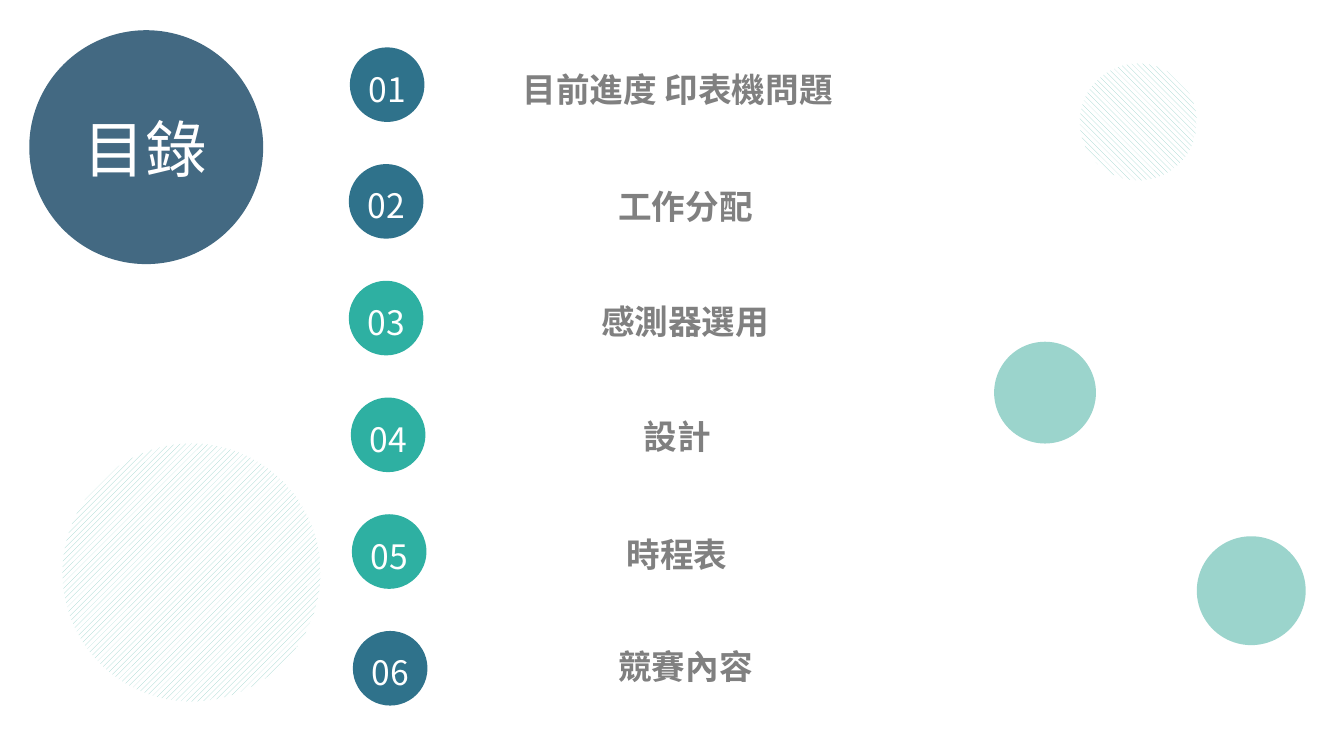
"""Build the table-of-contents slide with six numbered entries."""
from lxml.etree import SubElement
from pptx import Presentation
from pptx.dml.color import RGBColor as RGB
from pptx.enum.dml import MSO_PATTERN_TYPE as PATTERN
from pptx.enum.shapes import MSO_SHAPE as SHAPE
from pptx.enum.text import MSO_ANCHOR as ANCHOR, MSO_AUTO_SIZE as AUTO, PP_ALIGN as ALIGN
from pptx.oxml.ns import qn
from pptx.util import Inches, Pt

COLORS = {"navy": "436982", "blue": "2F728B", "teal": "2EB0A2",
          "mint": "9BD4CC", "gray": "808080", "white": "FFFFFF"}
RGBS = {name: RGB.from_string(value) for name, value in COLORS.items()}
FONT = "Noto Sans CJK SC"
ROW_TOP, ROW_PITCH, BADGE = 0.47, 1.158, 0.74


def add_circle(left, top, size, color, pattern=None):
    sp = s.shapes.add_shape(SHAPE.OVAL, Inches(left), Inches(top), Inches(size), Inches(size))
    sp.shadow.inherit = False
    sp.line.fill.background()
    if pattern:
        sp.fill.patterned()
        sp.fill.pattern = pattern
        sp.fill.fore_color.rgb = RGBS[color]
        sp.fill.back_color.rgb = RGBS["white"]
    else:
        sp.fill.solid()
        sp.fill.fore_color.rgb = RGBS[color]
    return sp


def set_text(sp, text, size=24, color="white", bold=False, align=ALIGN.CENTER,
             anchor=ANCHOR.MIDDLE, spacing=1.2, inset=(0, 0), wrap=True, fit=AUTO.NONE):
    tf = sp.text_frame
    tf.word_wrap, tf.auto_size, tf.vertical_anchor = wrap, fit, anchor
    tf.margin_left = tf.margin_right = Inches(inset[0])
    tf.margin_top = tf.margin_bottom = Inches(inset[1])
    p = tf.paragraphs[0]
    p.alignment, p.line_spacing = align, spacing
    r = p.add_run()
    r.text = text
    r.font.name, r.font.size, r.font.bold = FONT, Pt(size), bold
    r.font.color.rgb = RGBS[color]
    SubElement(r.font._element, qn("a:ea"), typeface=FONT)


prs = Presentation()
prs.slide_width, prs.slide_height = Inches(13.33), Inches(7.5)
s = prs.slides.add_slide(prs.slide_layouts[5])

for circle in [
    (0.29, 0.3, 2.32, "navy"),
    (11.87, 5.32, 1.08, "mint"),
    (9.86, 3.39, 1.01, "mint"),
    (0.62, 4.4, 2.56, "mint", PATTERN.WIDE_UPWARD_DIAGONAL),
    (10.71, 0.63, 1.16, "mint", PATTERN.WIDE_DOWNWARD_DIAGONAL),
]:
    add_circle(*circle)

title = s.shapes.title
title.left, title.top, title.width, title.height = map(Inches, (0.73, 1.05, 1.44, 0.84))
set_text(title, "目錄", size=44, align=ALIGN.LEFT, anchor=ANCHOR.TOP, spacing=1.0,
         inset=(0.1, 0.05), wrap=False, fit=AUTO.SHAPE_TO_FIT_TEXT)
s.shapes.element.append(title.element)

entries = [
    ("目前進度 印表機問題", "blue", 3.47, (5.03, 0.6, 3.38, 0.48)),
    ("工作分配", "blue", 3.46, (4.22, 1.76, 5.16, 0.48)),
    ("感測器選用", "teal", 3.46, (4.4, 2.91, 4.79, 0.48)),
    ("設計", "teal", 3.48, (4.32, 4.07, 4.79, 0.44)),
    ("時程表", "teal", 3.49, (4.32, 5.24, 4.79, 0.44)),
    ("競賽內容", "blue", 3.5, (3.37, 6.35, 6.86, 0.44)),
]
for row, (label, color, left, box) in enumerate(entries):
    badge = add_circle(left, ROW_TOP + row * ROW_PITCH, BADGE, color)
    set_text(badge, f"{row + 1:02d}")
    tb = s.shapes.add_textbox(*map(Inches, box))
    set_text(tb, label, color="gray", bold=True, fit=AUTO.SHAPE_TO_FIT_TEXT)

prs.save("out.pptx")
